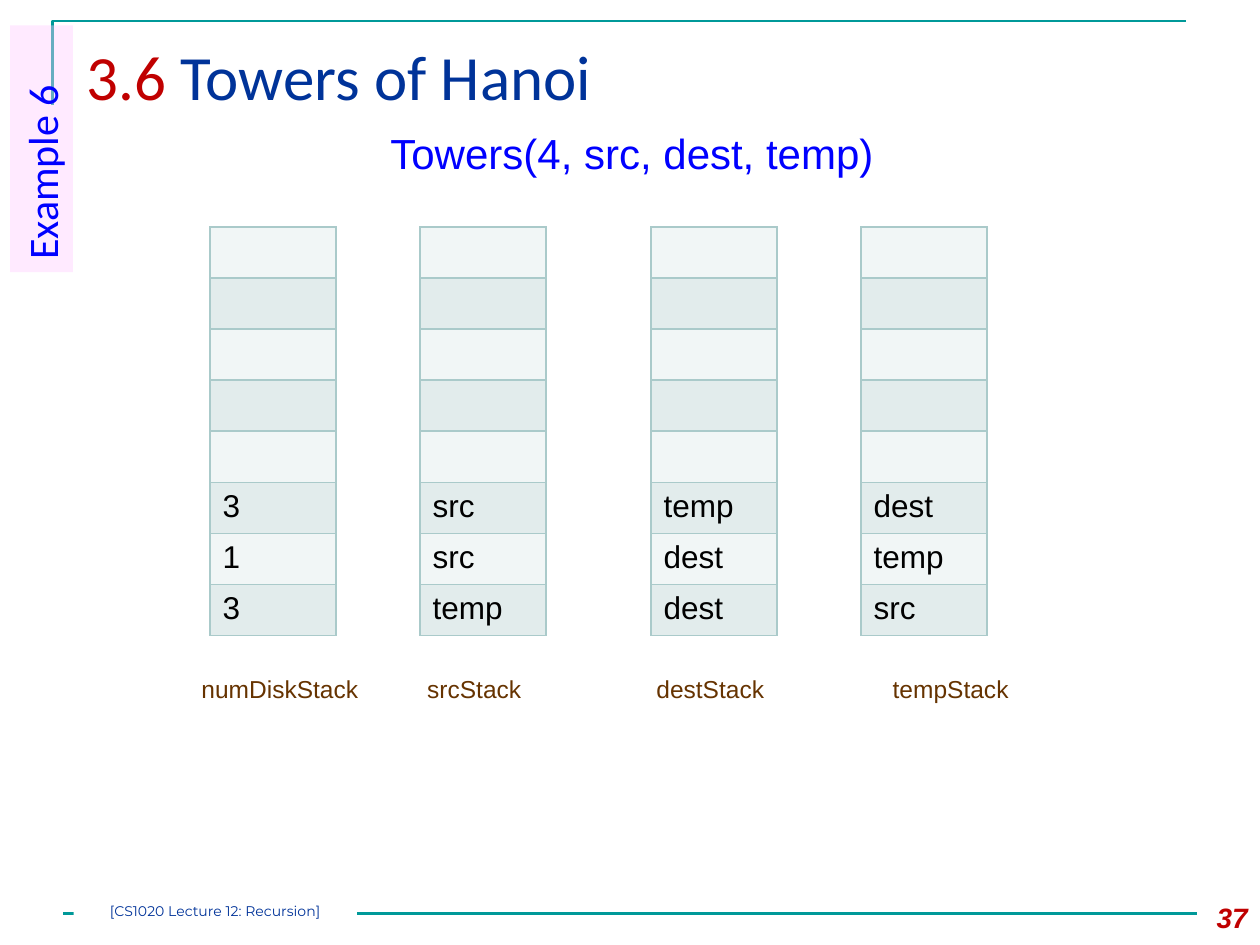
from lxml.etree import SubElement
from pptx import Presentation
from pptx.dml.color import RGBColor
from pptx.enum.shapes import MSO_CONNECTOR, MSO_SHAPE
from pptx.enum.text import MSO_ANCHOR, PP_ALIGN
from pptx.oxml.ns import qn
from pptx.util import Pt

TEAL, NAVY, BLUE, RED, BROWN = "009999", "003399", "0000FF", "C00000", "663300"
BORDER, ROW_FILLS = "AACACA", ("F1F6F6", "E2ECEC")
ROW_COUNT, ROW_HEIGHT, COLUMN_WIDTH, STACK_TOP = 8, 29.17, 72, 129.6

# Left edge and the entries at the bottom of each stack
STACKS = [
    (120, ["3", "1", "3"]),
    (240, ["src", "src", "temp"]),
    (372, ["temp", "dest", "dest"]),
    (492, ["dest", "temp", "src"]),
]
STACK_NAMES = ["numDiskStack", "srcStack", "destStack", "tempStack"]
NAME_TABS = [129, 260, 395]


def color(value):
    return RGBColor.from_string(value)


def set_attributes(target, values):
    for name, value in values.items():
        setattr(target, name, value)


def add_run(paragraph, text, size, hex_color, font="Arial", **extra):
    run = paragraph.add_run()
    run.text = text
    set_attributes(run.font, {"name": font, "size": Pt(size), **extra})
    run.font.color.rgb = color(hex_color)


def add_text(slide, box, runs, wrap=True, align=PP_ALIGN.LEFT):
    shape = slide.shapes.add_textbox(*map(Pt, box))
    set_attributes(shape.text_frame, {"word_wrap": wrap, "vertical_anchor": MSO_ANCHOR.TOP})
    paragraph = shape.text_frame.paragraphs[0]
    paragraph.alignment = align
    for run in runs:
        add_run(paragraph, **run)
    return paragraph


def add_panel(slide, box, fill, run, align, frame_format, rotation=0, alpha=None):
    shape = slide.shapes.add_shape(MSO_SHAPE.RECTANGLE, *map(Pt, box))
    shape.shadow.inherit = False
    shape.rotation = rotation
    shape.fill.solid()
    shape.fill.fore_color.rgb = color(fill)
    shape.line.fill.background()
    if alpha:
        fill_color = shape.fill._xPr.find(".//" + qn("a:srgbClr"))
        SubElement(fill_color, qn("a:alpha"), val=str(alpha * 1000))
    set_attributes(shape.text_frame, {"word_wrap": True, **frame_format})
    paragraph = shape.text_frame.paragraphs[0]
    paragraph.alignment = align
    add_run(paragraph, **run)


def style_line(line):
    line.color.rgb = color(TEAL)
    line.width = Pt(1.5)


def add_frame_lines(slide):
    builder = slide.shapes.build_freeform(Pt(30), Pt(60), scale=1.0)
    builder.add_line_segments([(Pt(30), Pt(12)), (Pt(678), Pt(12))], close=False)
    bracket = builder.convert_to_shape()
    bracket.shadow.inherit = False
    bracket.fill.background()
    style_line(bracket.line)

    rule = slide.shapes.add_connector(MSO_CONNECTOR.STRAIGHT, Pt(36), Pt(522), Pt(684), Pt(522))
    style_line(rule.line)
    SubElement(rule._element.spPr, qn("a:effectLst"))


def add_cell_borders(cell):
    properties = cell._tc.get_or_add_tcPr()
    for index, side in enumerate(("lnL", "lnR", "lnT", "lnB")):
        line = properties.makeelement(qn("a:" + side), {"w": str(Pt(1))})
        fill = SubElement(line, qn("a:solidFill"))
        SubElement(fill, qn("a:srgbClr"), val=BORDER)
        properties.insert(index, line)


def add_stack(slide, left, entries):
    box = (left, STACK_TOP, COLUMN_WIDTH, ROW_HEIGHT * ROW_COUNT)
    table = slide.shapes.add_table(ROW_COUNT, 1, *map(Pt, box)).table
    set_attributes(table, {"first_row": False, "horz_banding": False})
    texts = [""] * (ROW_COUNT - len(entries)) + entries
    for row, text in enumerate(texts):
        table.rows[row].height = Pt(ROW_HEIGHT)
        cell = table.cell(row, 0)
        cell.fill.solid()
        cell.fill.fore_color.rgb = color(ROW_FILLS[row % 2])
        add_cell_borders(cell)
        if text:
            add_run(cell.text_frame.paragraphs[0], text, 18, "000000")


def add_stack_names(slide):
    run = {"text": "\t".join(STACK_NAMES), "size": 14, "hex_color": BROWN}
    paragraph = add_text(slide, (108, 381.6, 492, 24.5), [run])
    tabs = SubElement(paragraph._p.get_or_add_pPr(), qn("a:tabLst"))
    for position in NAME_TABS:
        SubElement(tabs, qn("a:tab"), pos=str(Pt(position)), algn="l")


def main():
    presentation = Presentation()
    set_attributes(presentation, {"slide_width": Pt(720), "slide_height": Pt(540)})
    slide = presentation.slides.add_slide(presentation.slide_layouts[6])
    add_frame_lines(slide)

    # Stacks and their names
    for left, entries in STACKS:
        add_stack(slide, left, entries)
    add_text(slide, (216, 69.1, 293, 36),
             [{"text": "Towers(4, src, dest, temp)", "size": 24, "hex_color": BLUE}], wrap=False)
    add_stack_names(slide)

    # Title and side label
    title = {"size": 36, "font": "Calibri"}
    add_text(slide, (42.5, 18, 641.5, 62),
             [{"text": "3.6 ", "hex_color": RED, **title},
              {"text": "Towers of Hanoi", "hex_color": NAVY, **title}])
    add_panel(slide, (-46.8, 67, 141.1, 36), "FFCCFF",
              {"text": "Example 6", "size": 24, "hex_color": BLUE, "font": "Calibri"},
              PP_ALIGN.LEFT, {"vertical_anchor": MSO_ANCHOR.TOP}, rotation=270, alpha=40)

    # Footer
    margins = {"margin_" + side: 0 for side in ("left", "right", "top", "bottom")}
    add_panel(slide, (42, 516, 162, 12), "FFFFFF",
              {"text": "[CS1020 Lecture 12: Recursion]", "size": 8, "hex_color": NAVY,
               "font": "Montserrat"},
              PP_ALIGN.CENTER, {"vertical_anchor": MSO_ANCHOR.TOP, **margins})
    add_text(slide, (672, 511, 48, 29),
             [{"text": "37", "size": 16, "hex_color": RED, "bold": True, "italic": True}],
             align=PP_ALIGN.RIGHT)

    presentation.save("out.pptx")


main()
